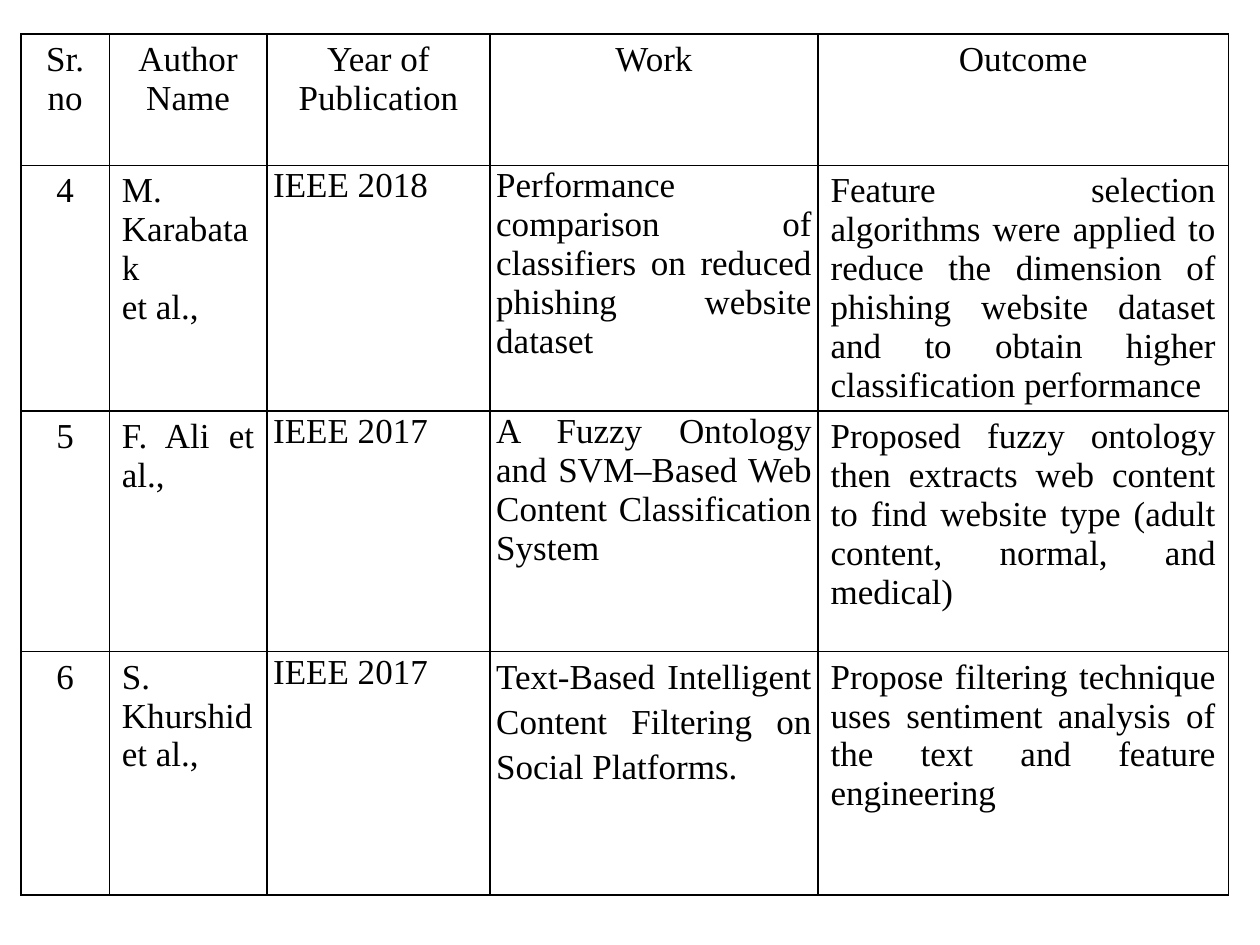
"""Build the literature survey table slide."""
from dataclasses import dataclass

from lxml import etree
from pptx import Presentation
from pptx.dml.color import RGBColor
from pptx.enum.text import PP_ALIGN
from pptx.oxml.ns import qn
from pptx.util import Pt

CENTER, JUSTIFY = PP_ALIGN.CENTER, PP_ALIGN.JUSTIFY


@dataclass(frozen=True)
class Theme:
    font: str = "Times New Roman"
    size: int = 20
    ink: str = "000000"
    border_width: int = 1


THEME = Theme()
HEADINGS = ["Sr. no", "Author Name", "Year of Publication", "Work", "Outcome"]
STUDIES = [
    ["4", "M. Karabatak \net al., ", "IEEE 2018",
     "Performance comparison of classifiers on reduced phishing website dataset",
     "Feature selection algorithms were applied to reduce the dimension of phishing "
     "website dataset and to obtain higher classification performance"],
    ["5", "F. Ali et al., ", "IEEE 2017",
     "A Fuzzy Ontology and SVM–Based Web Content Classification System",
     "Proposed fuzzy ontology then extracts web content to find website type "
     "(adult content, normal, and medical) "],
    ["6", "S. Khurshid et al., ", "IEEE 2017",
     "Text-Based Intelligent Content Filtering on Social Platforms.",
     "Propose filtering technique uses sentiment analysis of the text and feature "
     "engineering "],
]
SLIDE_SIZE = (720, 540)
TABLE_ORIGIN = (12, 19.5)
COLUMN_WIDTHS = [50.5, 90, 127.5, 187.5, 234.5]
ROW_HEIGHTS = [75, 137.5, 137.5, 139]
TIGHT_COLUMNS = (2, 3)
TIGHT_MARGINS = (3.6, 0.72, 3.6, 0)
LOOSE_CELL = (3, 3)


def add_borders(cell):
    properties = cell._tc.get_or_add_tcPr()
    for index, side in enumerate(("lnL", "lnR", "lnT", "lnB")):
        border = etree.Element(qn(f"a:{side}"), w=str(Pt(THEME.border_width)))
        fill = etree.SubElement(border, qn("a:solidFill"))
        etree.SubElement(fill, qn("a:srgbClr"), val=THEME.ink)
        properties.insert(index, border)


def fill_cell(cell, text, row, column):
    cell.text = text
    cell.fill.background()
    add_borders(cell)
    if row and column in TIGHT_COLUMNS:
        (cell.margin_left, cell.margin_top,
         cell.margin_right, cell.margin_bottom) = map(Pt, TIGHT_MARGINS)
    for paragraph in cell.text_frame.paragraphs:
        paragraph.alignment = JUSTIFY if row and column else CENTER
        paragraph.font.name = THEME.font
        paragraph.font.size = Pt(THEME.size)
        paragraph.font.color.rgb = RGBColor.from_string(THEME.ink)
        if (row, column) == LOOSE_CELL:
            paragraph.line_spacing = 1.15
            paragraph.space_after = Pt(10)


def add_survey(slide):
    rows = [HEADINGS] + STUDIES
    survey = slide.shapes.add_table(
        len(rows), len(HEADINGS), *map(Pt, TABLE_ORIGIN),
        Pt(sum(COLUMN_WIDTHS)), Pt(sum(ROW_HEIGHTS))).table
    survey.first_row = survey.horz_banding = False
    for column, width in zip(survey.columns, COLUMN_WIDTHS):
        column.width = Pt(width)
    for row, height in zip(survey.rows, ROW_HEIGHTS):
        row.height = Pt(height)
    for row, texts in enumerate(rows):
        for column, text in enumerate(texts):
            fill_cell(survey.cell(row, column), text, row, column)


def main():
    deck = Presentation()
    deck.slide_width, deck.slide_height = map(Pt, SLIDE_SIZE)
    add_survey(deck.slides.add_slide(deck.slide_layouts[6]))
    deck.save("out.pptx")


if __name__ == "__main__":
    main()
